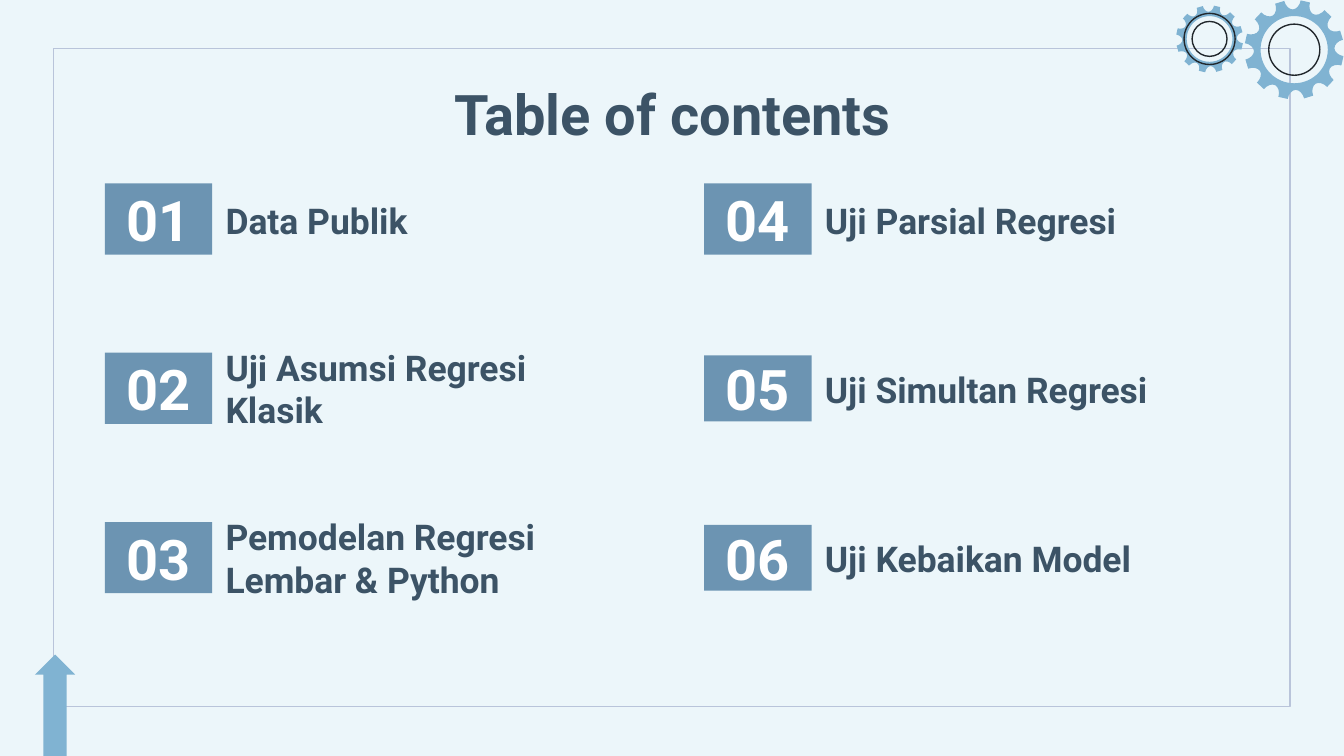
"""Build the table of contents slide with numbered topics and gear ornaments."""
import math

from pptx import Presentation
from pptx import util as u
from pptx.dml.color import RGBColor
from pptx.enum import shapes, text

THEME = {
    "font": "Roboto",
    "background": "ECF6FA",
    "frame": "B9C4DA",
    "accent": "80B3D2",
    "badge": "6C94B2",
    "ink": "3C5366",
    "white": "FFFFFF",
    "ring": "21272C",
    "heading": 30,
    "topic": 19,
    "hairline": 0.75,
}
TITLE = "Table of contents"
COLUMNS = [
    (0.78, [
        {"number": "01", "topic": "Data Publik"},
        {"number": "02", "topic": "Uji Asumsi Regresi Klasik", "lines": 2, "width": 3},
        {"number": "03", "topic": "Pemodelan Regresi Lembar & Python", "lines": 2},
    ]),
    (5.24, [
        {"number": "04", "topic": "Uji Parsial Regresi"},
        {"number": "05", "topic": "Uji Simultan Regresi", "badge_height": 0.49},
        {"number": "06", "topic": "Uji Kebaikan Model", "badge_height": 0.49},
    ]),
]
GEARS = [
    {"center": (9, 0.29), "radius": 0.25, "hole": 0.17, "turn": -92, "rings": (0.19, 0.13)},
    {"center": (9.63, 0.37), "radius": 0.37, "hole": 0.25, "turn": -92, "rings": (0.19,)},
]
FIRST_ROW, ROW_STEP = 1.63, 1.26
BADGE_WIDTH, ROW_HEIGHT, TWO_LINE_HEIGHT = 0.8, 0.53, 0.73
TOPIC_WIDTH = 3.17
TEETH = 12


def color(name):
    return RGBColor.from_string(THEME[name])


def paint(shape, fill=None, line=None):
    shape.shadow.inherit = False
    if fill:
        shape.fill.solid()
        shape.fill.fore_color.rgb = color(fill)
    else:
        shape.fill.background()
    if line:
        shape.line.color.rgb = color(line)
        shape.line.width = u.Pt(THEME["hairline"])
    else:
        shape.line.fill.background()
    return shape


def add_preset(slide, kind, box, **colors):
    return paint(slide.shapes.add_shape(kind, *map(u.Inches, box)), **colors)


def add_textbox(slide, box):
    return slide.shapes.add_textbox(*map(u.Inches, box))


def write(shape, words, size, ink, align, anchor):
    frame = shape.text_frame
    frame.word_wrap = True
    frame.vertical_anchor = anchor
    frame.margin_left = frame.margin_right = u.Inches(0.1)
    frame.margin_top = frame.margin_bottom = u.Inches(0.1)
    paragraph = frame.paragraphs[0]
    paragraph.text = words
    paragraph.alignment = align
    paragraph.font.name = THEME["font"]
    paragraph.font.size = u.Pt(THEME[size])
    paragraph.font.bold = True
    paragraph.font.color.rgb = color(ink)


def polar(center, radius, degrees):
    angle = math.radians(degrees)
    return (u.Inches(center[0] + radius * math.cos(angle)),
            u.Inches(center[1] + radius * math.sin(angle)))


def gear_outline(center, radius, turn):
    points = []
    for tooth in range(TEETH):
        middle = turn + tooth * 360 / TEETH
        for step in range(9):
            sweep = math.radians(step * 22.5)
            points.append(polar(center, radius * (1 - 0.19 * math.sin(sweep)),
                                middle - 9.5 * math.cos(sweep)))
    return points


def add_gear(slide, center, radius, hole, turn, rings):
    outline = gear_outline(center, radius, turn)
    rim = [polar(center, hole, -degrees) for degrees in range(0, 360, 6)]
    builder = slide.shapes.build_freeform(*outline[0], scale=1.0)
    builder.add_line_segments(outline[1:], close=True)
    builder.move_to(*rim[0])
    builder.add_line_segments(rim[1:], close=True)
    paint(builder.convert_to_shape(), fill="accent")
    for ring in rings:
        box = (center[0] - ring, center[1] - ring, 2 * ring, 2 * ring)
        add_preset(slide, shapes.MSO_SHAPE.OVAL, box, line="ring")


def add_entry(slide, left, middle, number, topic, lines=1,
              width=TOPIC_WIDTH, badge_height=ROW_HEIGHT):
    badge = add_preset(slide, shapes.MSO_SHAPE.RECTANGLE,
                       (left, middle - badge_height / 2, BADGE_WIDTH, badge_height),
                       fill="badge")
    write(badge, number, "heading", "white", text.PP_ALIGN.CENTER, text.MSO_ANCHOR.MIDDLE)
    height = TWO_LINE_HEIGHT if lines == 2 else ROW_HEIGHT
    anchor = text.MSO_ANCHOR.MIDDLE if lines == 2 else text.MSO_ANCHOR.BOTTOM
    label = add_textbox(slide, (left + BADGE_WIDTH, middle - height / 2, width, height))
    write(label, topic, "topic", "ink", text.PP_ALIGN.LEFT, anchor)


def main():
    presentation = Presentation()
    presentation.slide_width = u.Inches(10)
    presentation.slide_height = presentation.slide_width * 9 // 16
    slide = presentation.slides.add_slide(presentation.slide_layouts[6])
    slide.background.fill.solid()
    slide.background.fill.fore_color.rgb = color("background")

    add_preset(slide, shapes.MSO_SHAPE.RECTANGLE, (0.4, 0.36, 9.2, 4.9), line="frame")
    arrow = add_preset(slide, shapes.MSO_SHAPE.UP_ARROW, (0.26, 4.87, 0.3, 0.78), fill="accent")
    arrow.adjustments[0], arrow.adjustments[1] = 0.57, 0.5
    for gear in GEARS:
        add_gear(slide, **gear)

    title = add_textbox(slide, (0.79, 0.49, 8.43, 0.63))
    write(title, TITLE, "heading", "ink", text.PP_ALIGN.CENTER, text.MSO_ANCHOR.TOP)
    for left, entries in COLUMNS:
        for row, entry in enumerate(entries):
            add_entry(slide, left, FIRST_ROW + row * ROW_STEP, **entry)
    presentation.save("out.pptx")


if __name__ == "__main__":
    main()
